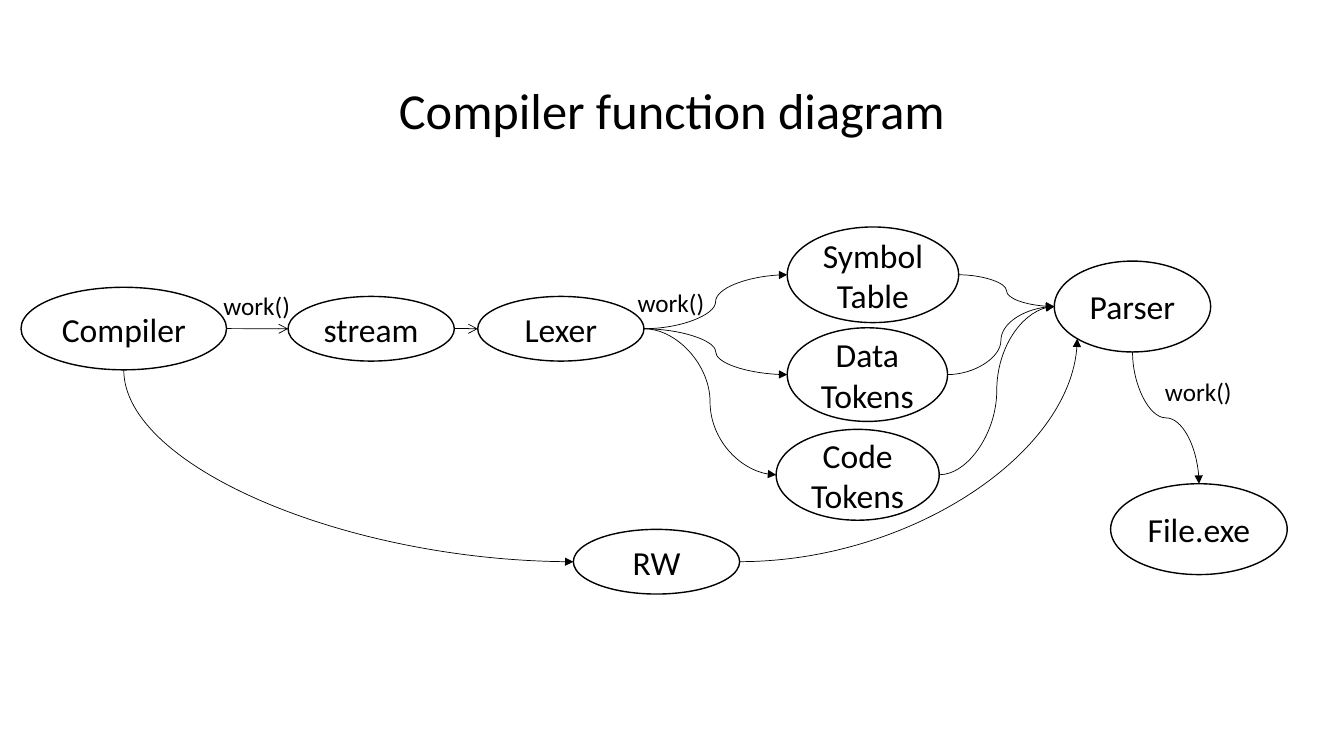
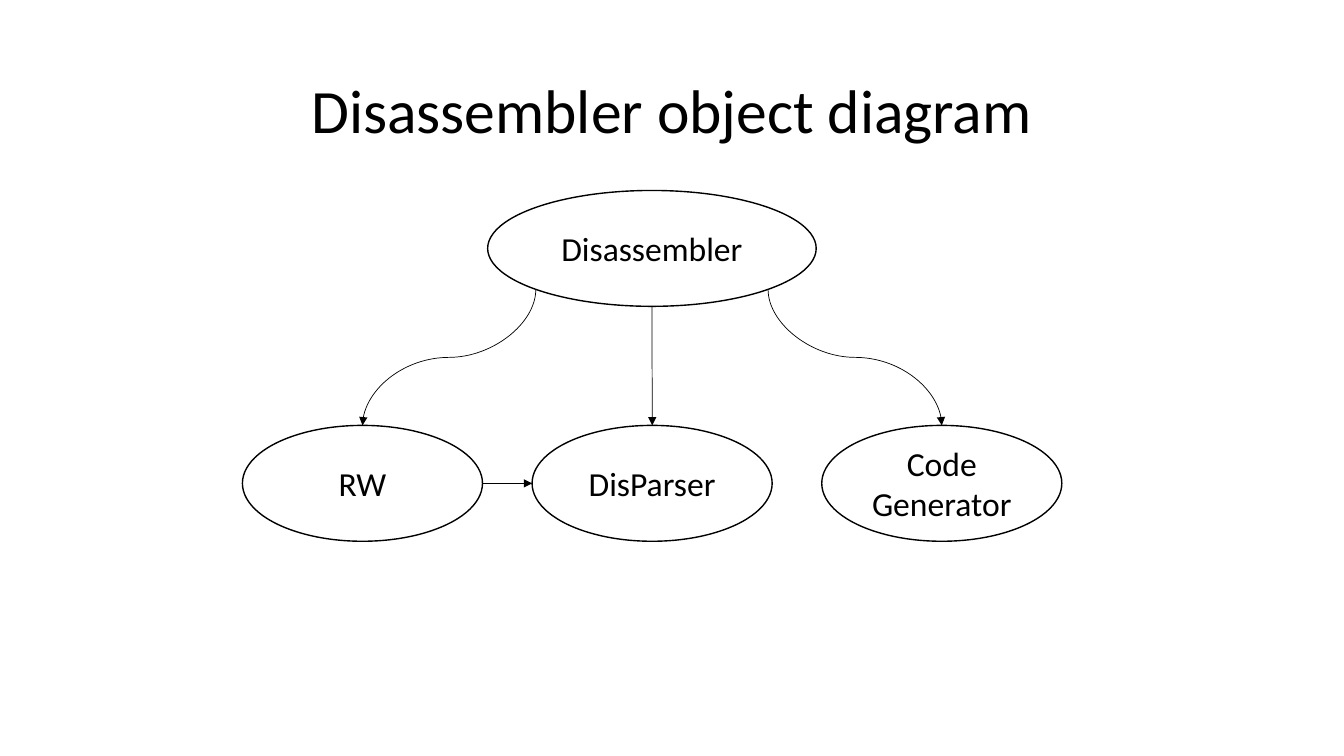
import math

from lxml import etree
from pptx import Presentation
from pptx.dml.color import RGBColor
from pptx.enum import shapes, text
from pptx.oxml import ns
from pptx.util import Cm, Pt

# Shared style
FONT = "Calibri"
BLACK = "000000"
WHITE = "FFFFFF"
TITLE_AREA = (2.33, 1.01, 29.21, 3.68)

# Connection sites of an ellipse, counter-clockwise from the top
TOP, LEFT, LOWER_LEFT, BOTTOM, LOWER_RIGHT, RIGHT = 0, 2, 3, 4, 5, 6


def colour(value):
    return RGBColor.from_string(value)


def set_font(para, size):
    para.font.name = FONT
    para.font.size = Pt(size)
    para.font.color.rgb = colour(BLACK)


def add_page(deck, title, size):
    page = deck.slides.add_slide(deck.slide_layouts[5])
    box = page.shapes.title
    box.left, box.top, box.width, box.height = map(Cm, TITLE_AREA)
    box.text_frame.text = title
    box.text_frame.vertical_anchor = text.MSO_ANCHOR.MIDDLE
    para = box.text_frame.paragraphs[0]
    para.alignment = text.PP_ALIGN.CENTER
    para.line_spacing = 0.9
    set_font(para, size)
    return page


def add_node(page, name, left, top, width, height):
    node = page.shapes.add_shape(
        shapes.MSO_SHAPE.OVAL, Cm(left), Cm(top), Cm(width), Cm(height))
    node.shadow.inherit = False
    node.fill.solid()
    node.fill.fore_color.rgb = colour(WHITE)
    node.line.color.rgb = colour(BLACK)
    node.line.width = Pt(1)
    node.text_frame.text = name
    node.text_frame.vertical_anchor = text.MSO_ANCHOR.MIDDLE
    para = node.text_frame.paragraphs[0]
    para.alignment = text.PP_ALIGN.CENTER
    set_font(para, 24)
    return node


def add_label(page, wording, left, top):
    box = page.shapes.add_textbox(Cm(left), Cm(top), Cm(2.21), Cm(1.02))
    box.text_frame.word_wrap = False
    box.text_frame.text = wording
    set_font(box.text_frame.paragraphs[0], 18)


def site_position(node, site):
    angle = math.radians(90 + 45 * site)
    x = node.left + node.width / 2 * (1 + math.cos(angle))
    y = node.top + node.height / 2 * (1 - math.sin(angle))
    return round(x), round(y)


def add_link(page, start, start_site, end, end_site, head="triangle",
             curved=True, quarter=False):
    """Join two nodes with an arrow; quarter means a single bend."""
    x1, y1 = site_position(start, start_site)
    x2, y2 = site_position(end, end_site)
    leaves_down = curved and start_site in (LOWER_LEFT, BOTTOM, LOWER_RIGHT)
    side = 1 if x2 >= x1 else -1
    if leaves_down:
        # A curve that starts downwards is a sideways one, turned
        middle_x, middle_y = (x1 + x2) / 2, (y1 + y2) / 2
        half_run, half_rise = (y2 - y1) / 2, abs(x2 - x1) / 2
        x1, x2 = middle_x + side * half_run, middle_x - side * half_run
        y1, y2 = middle_y - half_rise, middle_y + half_rise
    kind = shapes.MSO_CONNECTOR.CURVE if curved else shapes.MSO_CONNECTOR.STRAIGHT
    link = page.shapes.add_connector(kind, *map(round, (x1, y1, x2, y2)))
    link.line.color.rgb = colour(BLACK)
    link.line.width = Pt(0.5)

    # Turn, bend, arrowhead, no shadow
    properties = link._element.spPr
    if leaves_down:
        turn = 270 if side > 0 else 90
        properties.find(ns.qn("a:xfrm")).set("rot", str(turn * 60000))
    if quarter:
        properties.find(ns.qn("a:prstGeom")).set("prst", "curvedConnector2")
    line = properties.find(ns.qn("a:ln"))
    etree.SubElement(line, ns.qn("a:tailEnd"), type=head)
    etree.SubElement(properties, ns.qn("a:effectLst"))

    # Glue both ends to the nodes
    glue = link._element.find(".//" + ns.qn("p:cNvCxnSpPr"))
    for tag, node, site in (("a:stCxn", start, start_site),
                            ("a:endCxn", end, end_site)):
        etree.SubElement(glue, ns.qn(tag), id=str(node.shape_id), idx=str(site))


def add_compiler_page(deck):
    page = add_page(deck, "Compiler function diagram", 36)

    # Nodes
    compiler = add_node(page, "Compiler", 0.53, 7.24, 5.18, 2.08)
    stream = add_node(page, "stream", 7.26, 7.47, 4.19, 1.63)
    lexer = add_node(page, "Lexer", 12.04, 7.47, 4.19, 1.63)
    tables = [
        add_node(page, "Symbol Table", 19.84, 5.72, 4.32, 2.41),
        add_node(page, "Data Tokens", 19.84, 8.26, 4.04, 2.36),
        add_node(page, "Code Tokens", 19.56, 10.82, 4.11, 2.29),
    ]
    parser = add_node(page, "Parser", 26.57, 6.58, 3.94, 2.29)
    program = add_node(page, "File.exe", 27.99, 12.19, 4.45, 2.29)
    writer = add_node(page, "RW", 14.45, 13.34, 4.19, 1.63)

    # Links
    for start, end in ((compiler, stream), (stream, lexer)):
        add_link(page, start, RIGHT, end, LEFT, head="arrow", curved=False)
    for table in tables:
        add_link(page, lexer, RIGHT, table, LEFT)
        add_link(page, table, RIGHT, parser, LEFT)
    add_link(page, parser, BOTTOM, program, TOP)
    add_link(page, compiler, BOTTOM, writer, LEFT, quarter=True)
    add_link(page, writer, RIGHT, parser, LOWER_LEFT, quarter=True)

    # Call labels
    for left, top in ((5.38, 7.19), (15.82, 7.11), (29.11, 9.35)):
        add_label(page, "work()", left, top)


def add_disassembler_page(deck):
    page = add_page(deck, "Disassembler object diagram", 44)

    # Parent and its row of parts
    parent = add_node(page, "Disassembler", 12.29, 4.8, 8.28, 2.92)
    names = ("RW", "DisParser", "Code Generator")
    parts = [add_node(page, name, 6.11 + 7.3 * column, 10.72, 6.05, 2.92)
             for column, name in enumerate(names)]

    # Links
    for site, part in zip((LOWER_LEFT, BOTTOM, LOWER_RIGHT), parts):
        add_link(page, parent, site, part, TOP)
    add_link(page, parts[0], RIGHT, parts[1], LEFT, curved=False)


def main():
    deck = Presentation()
    deck.slide_width, deck.slide_height = Cm(33.87), Cm(19.05)
    add_compiler_page(deck)
    add_disassembler_page(deck)
    deck.save("out.pptx")


main()
